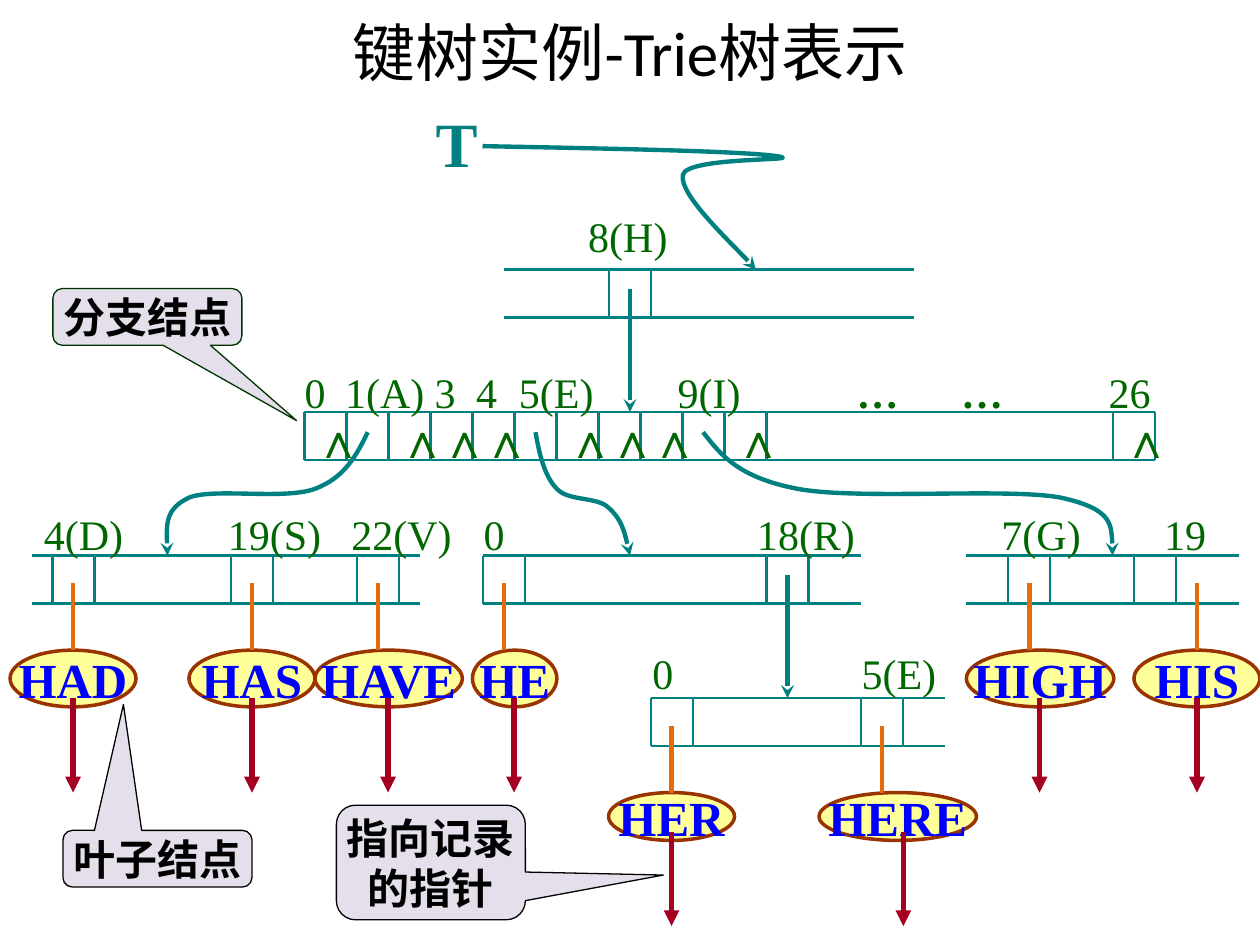
from lxml import etree
from pptx import Presentation
from pptx.dml.color import RGBColor
from pptx.enum.shapes import MSO_CONNECTOR, MSO_SHAPE
from pptx.enum.text import MSO_ANCHOR, PP_ALIGN
from pptx.oxml.ns import qn
from pptx.util import Inches, Pt

STRAIGHT = MSO_CONNECTOR.STRAIGHT
OVAL, CALLOUT = MSO_SHAPE.OVAL, MSO_SHAPE.ROUNDED_RECTANGULAR_CALLOUT
CENTER, LEFT = PP_ALIGN.CENTER, PP_ALIGN.LEFT
MIDDLE, TOP = MSO_ANCHOR.MIDDLE, MSO_ANCHOR.TOP

BLACK = RGBColor(0, 0, 0)
TEAL = RGBColor(0x00, 0x80, 0x80)
GREEN = RGBColor(0x00, 0x66, 0x00)
DARK_GREEN = RGBColor(0x00, 0x33, 0x00)
YELLOW = RGBColor(0xFF, 0xFF, 0x99)
BROWN = RGBColor(0x99, 0x33, 0x00)
BLUE = RGBColor(0x00, 0x00, 0xFF)
ORANGE = RGBColor(0xE4, 0x6C, 0x0A)
CRIMSON = RGBColor(0xA5, 0x00, 0x21)
LILAC = RGBColor(0xCC, 0xC1, 0xDA)

SERIF = "Times New Roman"
NODE_HEIGHT = 0.38
CELL = 4  # cell width in twelfths of an inch


def style_line(line, color, width, arrow=None):
    """Colour a line and give its end an optional arrowhead."""
    line.color.rgb = color
    line.width = Pt(width)
    if arrow:
        etree.SubElement(line._get_or_add_ln(), qn("a:tailEnd"), type=arrow)


def add_line(slide, start, end, color, width, arrow=None):
    """Draw a straight line between two points in inches."""
    line = slide.shapes.add_connector(STRAIGHT, *map(Inches, start + end))
    style_line(line.line, color, width, arrow)
    etree.SubElement(line._element.spPr, qn("a:effectLst"))


def write(shape, text, size, color, bold=False, font=SERIF, align=LEFT,
          anchor=TOP, wrap=False):
    """Fill a shape with text in one style."""
    frame = shape.text_frame
    frame.word_wrap = wrap
    frame.vertical_anchor = anchor
    frame.text = text
    for paragraph in frame.paragraphs:
        paragraph.alignment = align
        paragraph.font.name = font
        paragraph.font.size = Pt(size)
        paragraph.font.bold = bold
        paragraph.font.color.rgb = color
    return frame


def add_text(slide, box, text, size, color, **style):
    """Place a text box given as left, top, width, height."""
    return write(slide.shapes.add_textbox(*map(Inches, box)), text, size, color, **style)


def add_node(slide, left, top, width, cells):
    """Draw a branch node; left, width and cell offsets are in twelfths."""
    bottom = top + NODE_HEIGHT
    for y in (bottom, top):
        add_line(slide, (left / 12, y), ((left + width) / 12, y), TEAL, 1.5)
    for offset in sorted({c + side for c in cells for side in (0, CELL)}):
        x = (left + offset) / 12
        add_line(slide, (x, top), (x, bottom), TEAL, 1.5)


def add_labels(slide, left, top, width, labels):
    """Set a row of index labels, each on a tab stop at its own x."""
    text = "\t".join(label for _, label in labels)
    frame = add_text(slide, (left, top, width, 0.45), text, 24, GREEN, wrap=True)
    frame.margin_right = 0
    paragraph = frame.paragraphs[0]
    if "…" in text:
        before, dots, after = text.partition("…\t…")
        paragraph.clear()
        for part in (before, dots, after):
            run = paragraph.add_run()
            run.text = part
            run.font.bold = part == dots
    properties = paragraph._p.get_or_add_pPr()
    stops = etree.Element(qn("a:tabLst"))
    for x, _ in labels[1:]:
        etree.SubElement(stops, qn("a:tab"), pos=str(Inches(x - left - 0.1)), algn="l")
    properties.find(qn("a:defRPr")).addprevious(stops)


def add_curve(slide, points):
    """Draw an arrow of cubic curves: a start, then three points a curve."""
    points = [(Inches(x), Inches(y)) for x, y in points]
    builder = slide.shapes.build_freeform(*points[0])
    builder.add_line_segments(points[1:], close=False)
    curve = builder.convert_to_shape()
    segments = curve._element.xpath(".//a:lnTo")
    for first in range(0, len(segments), 3):
        bezier = etree.Element(qn("a:cubicBezTo"))
        segments[first].addprevious(bezier)
        for segment in segments[first:first + 3]:
            bezier.append(segment[0])
            segment.getparent().remove(segment)
    curve.fill.background()
    curve.shadow.inherit = False
    style_line(curve.line, TEAL, 2.5, "stealth")


def add_leaf(slide, word, box, stem, pointer):
    """Draw a leaf oval with its stem above and record pointer below."""
    _, top, _, height = box
    leaf = slide.shapes.add_shape(OVAL, *map(Inches, box))
    leaf.fill.solid()
    leaf.fill.fore_color.rgb = YELLOW
    leaf.shadow.inherit = False
    style_line(leaf.line, BROWN, 2)
    write(leaf, word, 28, BLUE, bold=True, align=CENTER, anchor=MIDDLE)
    add_line(slide, (stem, top - 0.53), (stem, top), ORANGE, 2.5)
    start = top + height - 0.07
    add_line(slide, (pointer, start), (pointer, start + 0.75), CRIMSON, 3, "triangle")


def add_callout(slide, text, box, tip, outline):
    """Draw a half-transparent callout whose tip is relative to its box."""
    callout = slide.shapes.add_shape(CALLOUT, *map(Inches, box))
    callout.adjustments[0], callout.adjustments[1] = tip
    callout.fill.solid()
    callout.fill.fore_color.rgb = LILAC
    tint = callout._element.spPr.find(qn("a:solidFill"))[0]
    etree.SubElement(tint, qn("a:alpha"), val="50000")
    callout.shadow.inherit = False
    style_line(callout.line, outline, 0.75)
    write(callout, text, 24, BLACK, bold=True, align=CENTER, anchor=MIDDLE)


def build_trie(slide):
    """Place the nodes, labels, links, leaves and callouts of the trie."""
    for node in (
        (48, 2.14, 39, [10]),
        (29, 3.27, 81, [*range(0, 44, CELL), 77]),
        (3, 4.41, 37, [2, 19, 31]),
        (92, 4.41, 26, [4, 16]),
        (46, 4.41, 36, [0, 27]),
        (62, 5.54, 28, [0, 20]),
    ):
        add_node(slide, *node)

    add_labels(slide, 4.57, 1.62, 0.83, [(4.67, "8(H)")])
    add_labels(slide, 2.32, 2.86, 6.92, [
        (2.42, "0"), (2.74, "1(A)"), (3.45, "3"), (3.78, "4"), (4.12, "5(E)"),
        (5.38, "9(I)"), (6.8, "…"), (7.63, "…"), (8.8, "26")])
    add_labels(slide, 0.25, 3.99, 9.44, [
        (0.35, "4(D)"), (1.81, "19(S)"), (2.79, "22(V)"), (3.84, "0"),
        (6.01, "18(R)"), (7.95, "7(G)"), (9.24, "19")])
    add_labels(slide, 5.08, 5.09, 2.46, [(5.18, "0"), (6.84, "5(E)")])

    for x, top in ((5, 2.29), (6.25, 4.56)):
        add_line(slide, (x, top), (x, top + 0.98), TEAL, 2.5, "stealth")
    root = add_text(slide, (3.36, 0.78, 0.56, 0.64), "T", 36, TEAL, bold=True, wrap=True)
    root.paragraphs[0].space_before = Pt(4)
    for curve in (
        [(3.83, 1.16), (4.87, 1.18), (5.9, 1.2), (6.17, 1.24), (6.43, 1.28),
         (5.44, 1.24), (5.42, 1.39), (5.39, 1.54), (5.9, 2.02), (6, 2.14)],
        [(2.92, 3.43), (2.83, 3.61), (2.74, 3.79), (2.5, 3.88), (2.26, 3.97),
         (1.69, 3.87), (1.5, 3.95), (1.31, 4.04), (1.32, 4.22), (1.33, 4.41)],
        [(4.25, 3.43), (4.28, 3.6), (4.32, 3.78), (4.42, 3.88), (4.51, 3.98),
         (4.74, 3.94), (4.83, 4.03), (4.93, 4.12), (4.97, 4.26), (5, 4.41)],
        [(5.58, 3.43), (5.72, 3.61), (5.86, 3.79), (6.33, 3.88), (6.81, 3.97),
         (8, 3.87), (8.42, 3.95), (8.83, 4.04), (8.83, 4.22), (8.83, 4.41)],
    ):
        add_curve(slide, curve)

    for word, left, width, stem, pointer in (
        ("HAD", 0.08, 1, 0.58, 0.58), ("HAS", 1.5, 1, 2, 2),
        ("HAVE", 2.5, 1.17, 3, 3.08), ("HE", 3.75, 0.67, 4, 4.08),
        ("HIGH", 7.67, 1.17, 8.17, 8.25), ("HIS", 9, 1, 9.5, 9.5),
    ):
        add_leaf(slide, word, (left, 5.16, width, 0.45), stem, pointer)
    add_leaf(slide, "HER", (4.83, 6.29, 1, 0.38), 5.33, 5.33)
    add_leaf(slide, "HERE", (6.5, 6.29, 1.25, 0.38), 7, 7.17)

    for cell in (0, 8, 12, 16, 24, 28, 32, 40, 77):
        add_text(slide, ((29 + cell) / 12 - 0.02, 3.2, 0.44, 0.51), "∧", 28, GREEN)

    add_callout(slide, "叶子结点", (0.5, 6.59, 1.5, 0.45), (-0.18, -2.72), BLACK)
    add_callout(slide, "分支结点", (0.42, 2.29, 1.5, 0.45), (0.79, 1.83), DARK_GREEN)
    add_callout(slide, "指向记录\n的指针", (2.67, 6.39, 1.5, 0.91), (1.23, 0.11), BLACK)


presentation = Presentation()
presentation.slide_width, presentation.slide_height = Inches(10), Inches(7.5)
trie_slide = presentation.slides.add_slide(presentation.slide_layouts[6])
build_trie(trie_slide)
add_text(trie_slide, (0.5, -0.03, 9, 0.87), "键树实例-Trie树表示", 36, BLACK,
         font="Calibri", align=CENTER, anchor=MIDDLE, wrap=True)
presentation.save("out.pptx")
